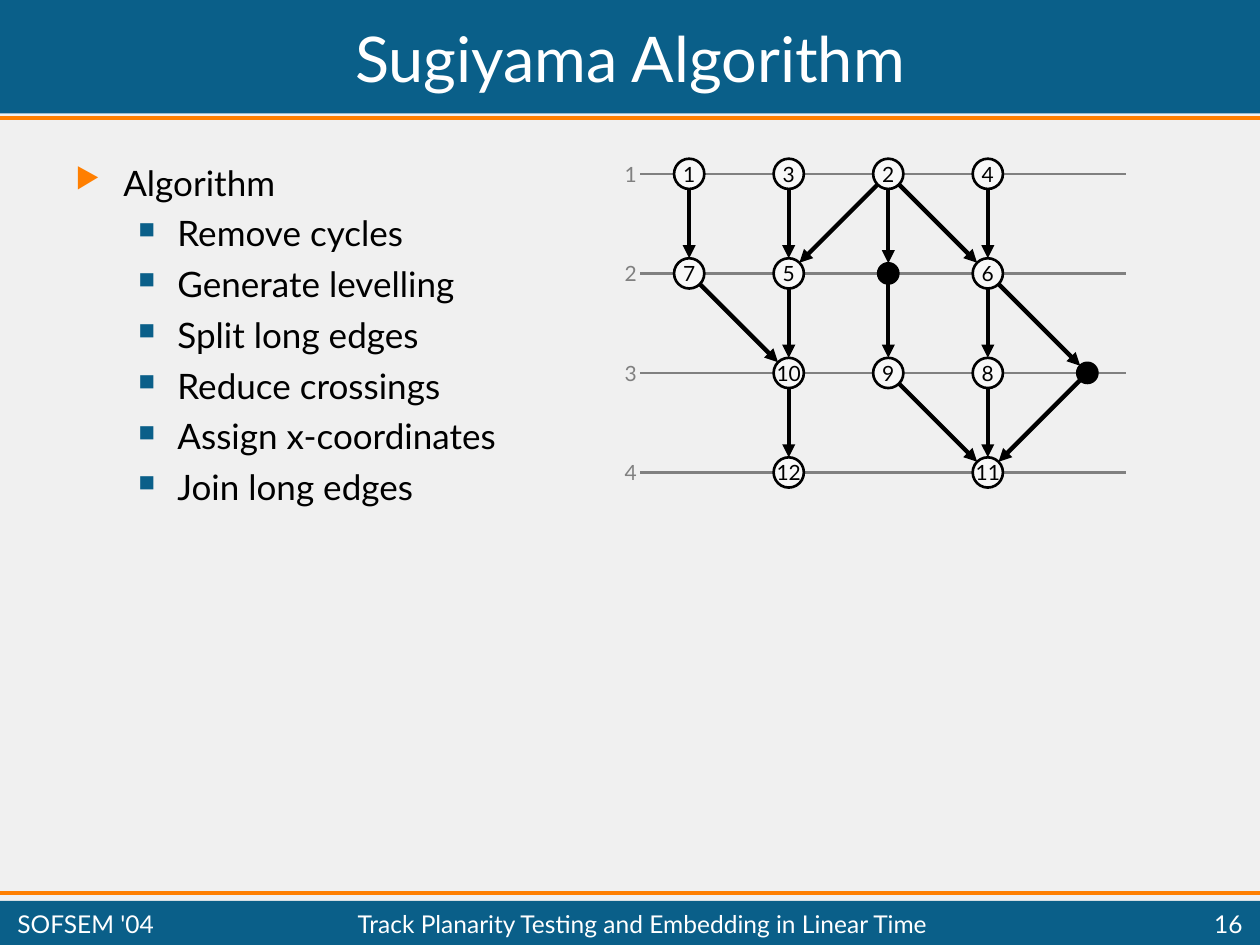
from math import hypot
from lxml.etree import SubElement
from pptx import Presentation
from pptx.dml.color import RGBColor
from pptx.enum.shapes import MSO_CONNECTOR, MSO_SHAPE
from pptx.enum.text import MSO_ANCHOR, PP_ALIGN
from pptx.oxml.ns import qn
from pptx.util import Inches, Pt

# Content
TITLE = "Sugiyama Algorithm"
TOPIC = "Algorithm"
STEPS = ["Remove cycles", "Generate levelling", "Split long edges",
         "Reduce crossings", "Assign x-coordinates", "Join long edges"]
# One row per level; "a" and "b" are dummy nodes, None is a gap
LEVELS = [["1", "3", "2", "4"],
          ["7", "5", "a", "6"],
          [None, "10", "9", "8", "b"],
          [None, "12", None, "11"]]
DUMMY = {"a", "b"}
EDGES = [("1", "7"), ("3", "5"), ("2", "5"), ("2", "a"), ("2", "6"),
         ("4", "6"), ("7", "10"), ("5", "10"), ("a", "9"), ("6", "8"),
         ("6", "b"), ("10", "12"), ("9", "11"), ("8", "11"), ("b", "11")]
FOOTER = [("SOFSEM '04", 0.04, 1.44, PP_ALIGN.LEFT),
          ("Track Planarity Testing and Embedding in Linear Time",
           1.5, 7.2, PP_ALIGN.CENTER),
          ("16", 8.78, 1.18, PP_ALIGN.RIGHT)]

# Style
FONT = "Lato"
COLOR = {"back": "F0F0F0", "bar": "0A5F89", "rule": "FF7F00",
         "level": "808080", "node": "F8F8F8", "ink": "000000",
         "light": "FFFFFF"}
LEFT, TOP, GAP = 5.47, 1.38, 0.79

deck = Presentation()
deck.slide_width, deck.slide_height = Inches(10), Inches(7.5)
slide = deck.slides.add_slide(deck.slide_layouts[6])
shapes = slide.shapes


def rgb(name):
    return RGBColor.from_string(COLOR[name])


def style(para, size, color, align=PP_ALIGN.LEFT):
    para.alignment = align
    para.font.name, para.font.size = FONT, Pt(size)
    para.font.color.rgb = rgb(color)


def label(text, box, size, color, align=PP_ALIGN.LEFT,
          anchor=MSO_ANCHOR.MIDDLE, wrap=True):
    frame = shapes.add_textbox(*map(Inches, box)).text_frame
    frame.word_wrap = wrap
    frame.vertical_anchor = anchor
    frame.text = text
    style(frame.paragraphs[0], size, color, align)
    return frame


def solid(kind, box, fill, edge=None):
    shape = shapes.add_shape(kind, *map(Inches, box))
    shape.shadow.inherit = False
    shape.fill.solid()
    shape.fill.fore_color.rgb = rgb(fill)
    if edge:
        shape.line.color.rgb = rgb(edge)
        shape.line.width = Pt(1.5)
    else:
        shape.line.fill.background()
    return shape


def line(start, end, color, width, arrow=False):
    link = shapes.add_connector(MSO_CONNECTOR.STRAIGHT,
                                *map(Inches, start + end))
    link.line.color.rgb = rgb(color)
    link.line.width = Pt(width)
    if arrow:
        SubElement(link.line._get_or_add_ln(), qn("a:tailEnd"),
                   type="triangle")
    SubElement(link._element.spPr, qn("a:effectLst"))


def bullet(para, mark, color, size, left, hang):
    props = para._p.get_or_add_pPr()
    props.set("marL", str(Inches(left)))
    props.set("indent", str(-Inches(hang)))
    tint = SubElement(props, qn("a:buClr"))
    SubElement(tint, qn("a:srgbClr"), val=COLOR[color])
    SubElement(props, qn("a:buSzPct"), val=str(size * 1000))
    SubElement(props, qn("a:buChar"), char=mark)


# Background, bars and rules
slide.background.fill.solid()
slide.background.fill.fore_color.rgb = rgb("back")
for top, high, rule in [(0, 0.9, 0.94), (7.15, 0.35, 7.09)]:
    solid(MSO_SHAPE.RECTANGLE, (0, top, 10, high), "bar")
    line((0, rule), (10, rule), "rule", 2.25)

# Title and list
label(TITLE, (0.04, 0.04, 9.92, 0.83), 36, "light", PP_ALIGN.CENTER)
body = label(TOPIC, (0.5, 1.23, 4.42, 5.67), 20, "ink",
             anchor=MSO_ANCHOR.TOP)
head = body.paragraphs[0]
bullet(head, "▶", "rule", 80, 0.38, 0.38)
style(head, 20, "ink")
for step in STEPS:
    para = body.add_paragraph()
    para.text = step
    para.level = 1
    para.space_before = Pt(5)
    bullet(para, "■", "bar", 65, 0.81, 0.31)
    style(para, 20, "ink")

# Level lines with their numbers
for row in range(len(LEVELS)):
    y = TOP + row * GAP
    line((5.08, y), (8.94, y), "level", 1.5)
    label(str(row + 1), (4.86, y - 0.15, 0.29, 0.3), 12, "level", wrap=False)

# Edges stop at the rim of the target node
spot = {name: (LEFT + col * GAP, TOP + row * GAP)
        for row, names in enumerate(LEVELS)
        for col, name in enumerate(names) if name}
size = {name: 0.08 if name in DUMMY else 0.12 for name in spot}
for tail, tip in EDGES:
    (x1, y1), (x2, y2) = spot[tail], spot[tip]
    cut = size[tip] / hypot(x2 - x1, y2 - y1)
    end = (x2 - cut * (x2 - x1), y2 - cut * (y2 - y1))
    line((x1, y1), end, "ink", 2.5, arrow=True)

# Nodes
for name, (x, y) in spot.items():
    r = size[name]
    fill = "ink" if name in DUMMY else "node"
    node = solid(MSO_SHAPE.OVAL, (x - r, y - r, 2 * r, 2 * r), fill, "ink")
    if name not in DUMMY:
        frame = node.text_frame
        frame.word_wrap = False
        frame.vertical_anchor = MSO_ANCHOR.MIDDLE
        frame.text = name
        style(frame.paragraphs[0], 12, "ink", PP_ALIGN.CENTER)

# Footer
for text, left, wide, align in FOOTER:
    label(text, (left, 7.19, wide, 0.28), 14, "light", align)

deck.save("out.pptx")
